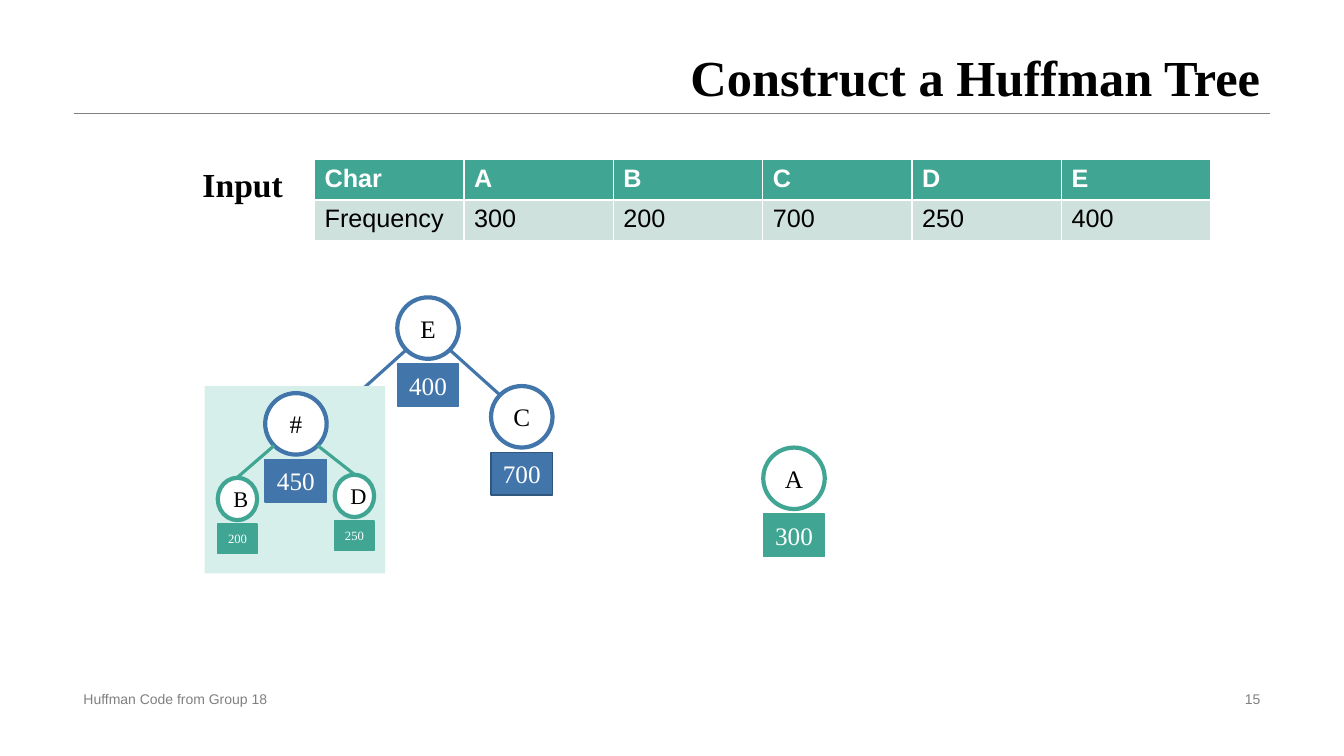
from dataclasses import dataclass

from lxml import etree
from pptx import Presentation
from pptx import util as u
from pptx.dml.color import RGBColor
from pptx.enum import shapes, text
from pptx.oxml import ns

BLACK = RGBColor(0, 0, 0)
WHITE = RGBColor(255, 255, 255)
GREY = RGBColor(0x80, 0x80, 0x80)
BLUE = RGBColor(0x42, 0x76, 0xAA)
NAVY = RGBColor(0x31, 0x57, 0x7E)
GREEN = RGBColor(0x40, 0xA6, 0x93)
PALE = RGBColor(0xCF, 0xE1, 0xDC)
MINT = RGBColor(0xD7, 0xEF, 0xEB)
SERIF, SANS = "Times New Roman", "Arial"
LEFT, MID, RIGHT = text.PP_ALIGN.LEFT, text.PP_ALIGN.CENTER, text.PP_ALIGN.RIGHT


@dataclass(frozen=True)
class Size:
    width: float
    height: float
    drop: float  # from the top of the circle to the top of the count box
    box: float
    char: int
    count: int


@dataclass(frozen=True)
class Node:
    char: str
    count: int
    x: float
    y: float
    size: Size
    color: RGBColor
    edge: RGBColor


@dataclass(frozen=True)
class Link:
    x1: float
    y1: float
    x2: float
    y2: float
    color: RGBColor
    width: float = 2.25


BIG = Size(0.61, 0.61, 0.66, 0.42, 18, 18)
SMALL = Size(0.39, 0.42, 0.46, 0.29, 16, 9)

RULE = Link(0.73, 1.12, 12.6, 1.12, GREY, 0.25)
TREE = [Node("C", 700, 4.87, 3.83, BIG, BLUE, NAVY),
        Node("E", 400, 3.94, 2.95, BIG, BLUE, BLUE)]
TREE_LINKS = [Link(4.03, 3.47, 3.53, 3.92, BLUE),
              Link(4.46, 3.47, 4.96, 3.92, BLUE)]
MERGED = [Node("B", 200, 2.16, 4.74, SMALL, GREEN, GREEN),
          Node("D", 250, 3.32, 4.71, SMALL, GREEN, GREEN),
          Node("#", 450, 2.63, 3.9, BIG, BLUE, BLUE)]
MERGED_LINKS = [Link(2.72, 4.42, 2.35, 4.74, GREEN),
                Link(3.15, 4.42, 3.52, 4.71, GREEN)]
NEXT = Node("A", 300, 7.57, 4.44, BIG, GREEN, GREEN)
ROWS = [["Char", "A", "B", "C", "D", "E"],
        ["Frequency", "300", "200", "700", "250", "400"]]


def write(frame, words: str, size: int, face: str, color: RGBColor,
          align=LEFT, bold: bool = False) -> None:
    frame.text = words
    para = frame.paragraphs[0]
    para.alignment = align
    font = para.runs[0].font
    font.size, font.name, font.bold = u.Pt(size), face, bold
    font.color.rgb = color


def add_label(slide, x: float, y: float, w: float, h: float, words: str,
              size: int, face: str, color: RGBColor, align=LEFT,
              bold: bool = False, anchor=text.MSO_ANCHOR.MIDDLE) -> None:
    box = slide.shapes.add_textbox(*map(u.Inches, (x, y, w, h)))
    frame = box.text_frame
    frame.word_wrap = True
    frame.vertical_anchor = anchor
    write(frame, words, size, face, color, align, bold)


def add_block(slide, kind, x: float, y: float, w: float, h: float,
              fill: RGBColor, edge: RGBColor | None = None, width: float = 1):
    block = slide.shapes.add_shape(kind, *map(u.Inches, (x, y, w, h)))
    block.shadow.inherit = False
    block.fill.solid()
    block.fill.fore_color.rgb = fill
    if edge is None:
        block.line.fill.background()
    else:
        block.line.color.rgb = edge
        block.line.width = u.Pt(width)
    block.text_frame.vertical_anchor = text.MSO_ANCHOR.MIDDLE
    return block


def add_node(slide, node: Node) -> None:
    size = node.size
    ring = add_block(slide, shapes.MSO_SHAPE.OVAL, node.x, node.y,
                     size.width, size.height, WHITE, node.color, 3)
    write(ring.text_frame, node.char, size.char, SERIF, BLACK, MID)
    box = add_block(slide, shapes.MSO_SHAPE.RECTANGLE, node.x,
                    node.y + size.drop, size.width, size.box,
                    node.color, node.edge)
    write(box.text_frame, str(node.count), size.count, SERIF, WHITE, MID)


def add_link(slide, link: Link) -> None:
    ends = map(u.Inches, (link.x1, link.y1, link.x2, link.y2))
    line = slide.shapes.add_connector(shapes.MSO_CONNECTOR.STRAIGHT, *ends)
    line.line.color.rgb = link.color
    line.line.width = u.Pt(link.width)
    etree.SubElement(line._element.spPr, ns.qn("a:effectLst"))


def add_grid(slide) -> None:
    area = map(u.Inches, (3.12, 1.58, 8.89, 0.81))
    grid = slide.shapes.add_table(len(ROWS), len(ROWS[0]), *area).table
    grid.horz_banding = False
    for r, row in enumerate(ROWS):
        head = r == 0
        for c, words in enumerate(row):
            cell = grid.cell(r, c)
            cell.fill.solid()
            cell.fill.fore_color.rgb = GREEN if head else PALE
            write(cell.text_frame, words, 18, SANS,
                  WHITE if head else BLACK, bold=head)


def add_title(slide) -> None:
    title = slide.shapes.title
    title.left, title.top = u.Inches(0.73), u.Inches(0)
    title.width, title.height = u.Inches(11.87), u.Inches(1.12)
    frame = title.text_frame
    frame.auto_size = text.MSO_AUTO_SIZE.NONE
    frame.vertical_anchor = text.MSO_ANCHOR.BOTTOM
    write(frame, "Construct a Huffman Tree", 36, SERIF, BLACK, RIGHT, True)
    frame.paragraphs[0].line_spacing = 0.9


def main() -> None:
    deck = Presentation()
    deck.slide_width, deck.slide_height = u.Inches(13.33), u.Inches(7.5)
    slide = deck.slides.add_slide(deck.slide_layouts.get_by_name("Title Only"))
    add_link(slide, RULE)
    add_title(slide)
    add_label(slide, 0.73, 6.82, 4.53, 0.23, "Huffman Code from Group 18",
              10, SANS, GREY)
    add_label(slide, 9.42, 6.82, 3.18, 0.23, "15", 10, SANS, GREY, RIGHT)
    add_grid(slide)
    add_label(slide, 1.91, 1.58, 1.21, 0.5, "Input", 24, SERIF, BLACK,
              bold=True, anchor=text.MSO_ANCHOR.TOP)
    for node in TREE:
        add_node(slide, node)
    for link in TREE_LINKS:
        add_link(slide, link)
    add_block(slide, shapes.MSO_SHAPE.RECTANGLE, 2.03, 3.83, 1.79, 1.86, MINT)
    for node in MERGED:
        add_node(slide, node)
    for link in MERGED_LINKS:
        add_link(slide, link)
    add_node(slide, NEXT)
    deck.save("out.pptx")


if __name__ == "__main__":
    main()
